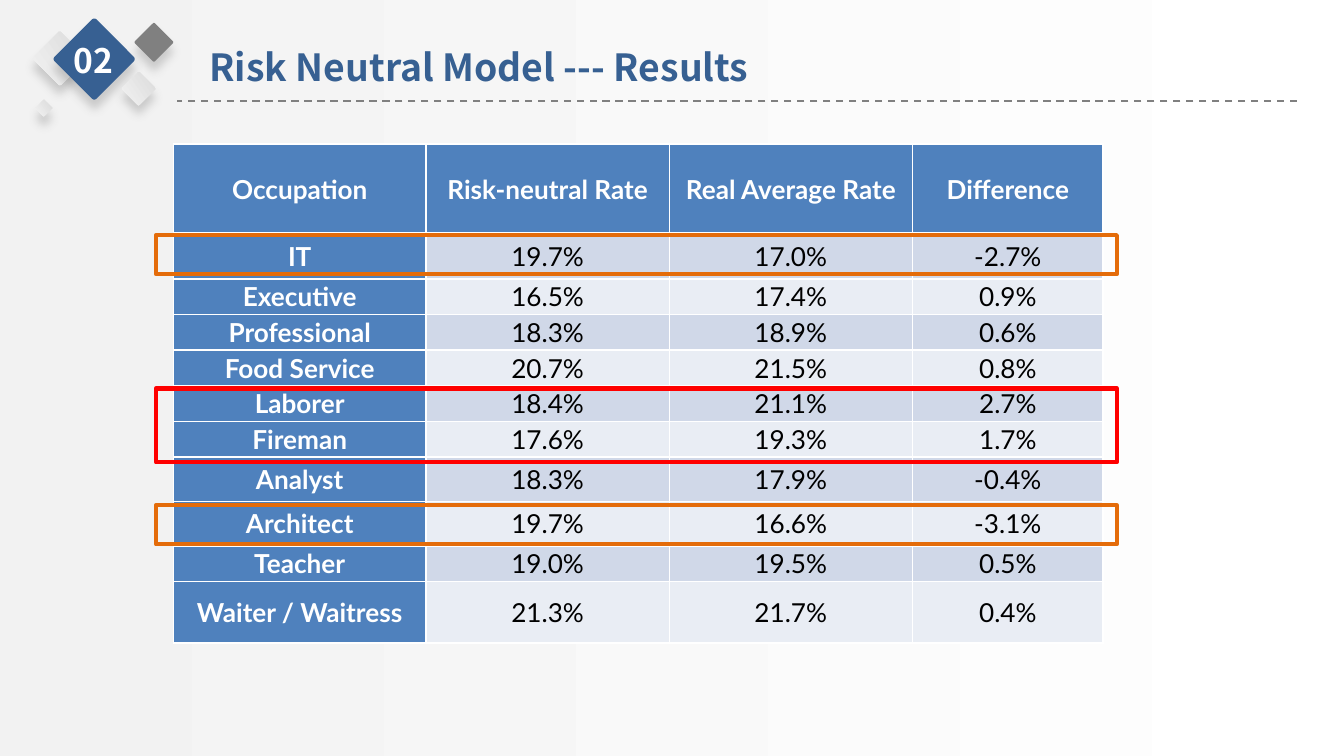
from typing import NamedTuple

from lxml import etree
from pptx import Presentation
from pptx.dml.color import RGBColor
from pptx.enum import dml, shapes, text
from pptx.oxml import ns
from pptx.util import Pt

TITLE_FONT, TABLE_FONT = "Noto Sans CJK SC", "Lato"
WHITE, BLACK = RGBColor(255, 255, 255), RGBColor(0, 0, 0)
NAVY, GRAY = RGBColor(0x37, 0x60, 0x92), RGBColor(0x80, 0x80, 0x80)
PALE, SILVER = RGBColor(0xF2, 0xF2, 0xF2), RGBColor(0xDB, 0xDB, 0xDB)
BLUE = RGBColor(0x4F, 0x81, 0xBD)
BANDS = (RGBColor(0xD0, 0xD8, 0xE8), RGBColor(0xE9, 0xED, 0xF4))
RED, ORANGE = RGBColor(255, 0, 0), RGBColor(0xE4, 0x6C, 0x0A)
SHADOW = RGBColor(0x59, 0x59, 0x59)


class Diamond(NamedTuple):
    left: float
    top: float
    side: float
    color: RGBColor | None = None  # None gives the silver gradient


class Highlight(NamedTuple):
    top: float
    height: float
    color: RGBColor


DIAMONDS = [
    Diamond(21.6, 20.9, 20.9),
    Diamond(34.6, 15.8, 31.7, NAVY),
    Diamond(74.9, 15.1, 15.1, GRAY),
    Diamond(67.7, 41, 13),
    Diamond(20.2, 54.7, 6.5),
]
HIGHLIGHTS = [
    Highlight(208.1, 39.6, RED),
    Highlight(126, 20.9, ORANGE),
    Highlight(270.7, 20.9, ORANGE),
]
COLUMN_WIDTHS = [135.4, 130.3, 130.3, 102.2]
HEADER_HEIGHT, ROW_HEIGHT, TALL_HEIGHT, LAST_HEIGHT = 48.5, 19.1, 23.8, 33.1
ROW_HEIGHTS = [HEADER_HEIGHT, TALL_HEIGHT, *[ROW_HEIGHT] * 5,
               *[TALL_HEIGHT] * 2, ROW_HEIGHT, LAST_HEIGHT]
ROWS = [
    ("Occupation", "Risk-neutral Rate", "Real Average Rate", "Difference"),
    ("IT", "19.7%", "17.0%", "-2.7%"),
    ("Executive", "16.5%", "17.4%", "0.9%"),
    ("Professional", "18.3%", "18.9%", "0.6%"),
    ("Food Service", "20.7%", "21.5%", "0.8%"),
    ("Laborer", "18.4%", "21.1%", "2.7%"),
    ("Fireman", "17.6%", "19.3%", "1.7%"),
    ("Analyst", "18.3%", "17.9%", "-0.4%"),
    ("Architect", "19.7%", "16.6%", "-3.1%"),
    ("Teacher", "19.0%", "19.5%", "0.5%"),
    ("Waiter / Waitress", "21.3%", "21.7%", "0.4%"),
]


def write_text(frame, content: str, *, size: float, font: str, color: RGBColor,
               bold: bool = True, align=text.PP_ALIGN.CENTER) -> None:
    paragraph = frame.paragraphs[0]
    paragraph.alignment = align
    run = paragraph.add_run()
    run.text = content
    run.font.size = Pt(size)
    run.font.name = font
    run.font.bold = bold
    run.font.color.rgb = color


def add_heading(slide, left: float, top: float, width: float, height: float,
                content: str, **text_format) -> None:
    box = slide.shapes.add_textbox(Pt(left), Pt(top), Pt(width), Pt(height))
    box.text_frame.word_wrap = False
    box.text_frame.auto_size = text.MSO_AUTO_SIZE.SHAPE_TO_FIT_TEXT
    write_text(box.text_frame, content, font=TITLE_FONT, **text_format)


def fill_gradient(fill, start: RGBColor, end: RGBColor, angle: float) -> None:
    fill.gradient()
    fill.gradient_angle = angle
    for stop, color, position in zip(fill.gradient_stops, (start, end), (0, 1)):
        stop.color.rgb = color
        stop.position = position


def add_child(parent, tag: str, **attributes):
    return etree.SubElement(parent, ns.qn(tag), attributes)


def add_diamond(slide, diamond: Diamond) -> None:
    """Add a rounded square turned by 45 degrees, with a soft shadow below."""
    shape = slide.shapes.add_shape(
        shapes.MSO_SHAPE.ROUNDED_RECTANGLE, Pt(diamond.left), Pt(diamond.top),
        Pt(diamond.side), Pt(diamond.side))
    shape.adjustments[0] = 0.05
    shape.rotation = 45
    if diamond.color is None:
        fill_gradient(shape.fill, PALE, SILVER, 80)
    else:
        shape.fill.solid()
        shape.fill.fore_color.rgb = diamond.color
    shape.line.fill.background()
    shape.shadow.inherit = False
    effects = shape._element.spPr.find(ns.qn("a:effectLst"))
    shadow = add_child(effects, "a:outerShdw", blurRad=str(Pt(5)), dist=str(Pt(5)),
                       dir="5400000", algn="t", rotWithShape="0")
    color = add_child(shadow, "a:srgbClr", val=str(SHADOW))
    add_child(color, "a:alpha", val="25000")


def add_divider(slide) -> None:
    line = slide.shapes.add_connector(
        shapes.MSO_CONNECTOR.STRAIGHT, Pt(694.8), Pt(54), Pt(95), Pt(54))
    line.line.color.rgb = GRAY
    line.line.width = Pt(1)
    line.line.dash_style = dml.MSO_LINE.DASH
    add_child(line._element.spPr, "a:effectLst")


def add_highlight(slide, highlight: Highlight) -> None:
    shape = slide.shapes.add_shape(
        shapes.MSO_SHAPE.RECTANGLE, Pt(83.5), Pt(highlight.top),
        Pt(514.8), Pt(highlight.height))
    shape.fill.background()
    shape.line.color.rgb = highlight.color
    shape.line.width = Pt(2.25)
    shape.shadow.inherit = False


def set_borders(cell, **widths: float) -> None:
    """Draw white borders; the keywords are L, R, T and B, in that order."""
    properties = cell._tc.get_or_add_tcPr()
    for side, width in widths.items():
        border = add_child(properties, f"a:ln{side}", w=str(Pt(width)))
        fill = add_child(border, "a:solidFill")
        add_child(fill, "a:srgbClr", val=str(WHITE))


def add_rate_table(slide) -> None:
    frame = slide.shapes.add_table(
        len(ROWS), len(COLUMN_WIDTHS), Pt(92.9), Pt(77.2),
        Pt(sum(COLUMN_WIDTHS)), Pt(sum(ROW_HEIGHTS)))
    table = frame.table
    for column, width in zip(table.columns, COLUMN_WIDTHS):
        column.width = Pt(width)
    for row, height in zip(table.rows, ROW_HEIGHTS):
        row.height = Pt(height)
    for row_index, values in enumerate(ROWS):
        for column_index, value in enumerate(values):
            cell = table.cell(row_index, column_index)
            is_heading = row_index == 0 or column_index == 0
            cell.margin_left = cell.margin_right = Pt(2.2)
            cell.margin_top = cell.margin_bottom = 0
            cell.vertical_anchor = text.MSO_ANCHOR.MIDDLE
            set_borders(cell, L=1, R=1, T=3 if row_index == 1 else 1,
                        B=3 if row_index == 0 else 1)
            cell.fill.solid()
            cell.fill.fore_color.rgb = BLUE if is_heading else BANDS[(row_index - 1) % 2]
            write_text(cell.text_frame, value, size=14, font=TABLE_FONT,
                       color=WHITE if is_heading else BLACK, bold=is_heading)


def main() -> None:
    presentation = Presentation()
    presentation.slide_width, presentation.slide_height = Pt(720), Pt(405)
    slide = presentation.slides.add_slide(presentation.slide_layouts[6])
    fill_gradient(slide.background.fill, PALE, WHITE, 0)
    add_divider(slide)
    add_heading(slide, 105.1, 20.2, 321.8, 31.7, "Risk Neutral Model --- Results",
                size=20, color=NAVY, align=text.PP_ALIGN.LEFT)
    for diamond in DIAMONDS:
        add_diamond(slide, diamond)
    add_heading(slide, 31.7, 18, 36.7, 28.8, "02", size=18, color=WHITE)
    add_rate_table(slide)
    for highlight in HIGHLIGHTS:
        add_highlight(slide, highlight)
    presentation.save("out.pptx")


if __name__ == "__main__":
    main()
